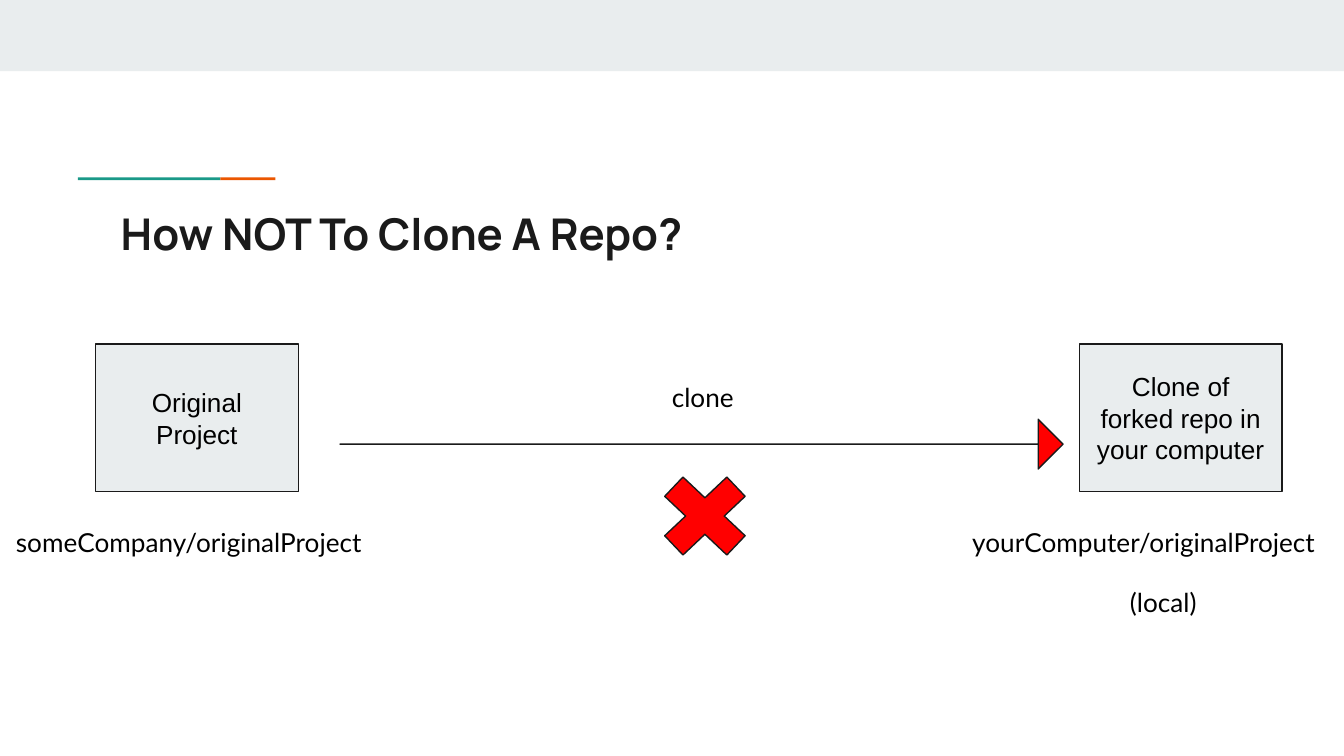
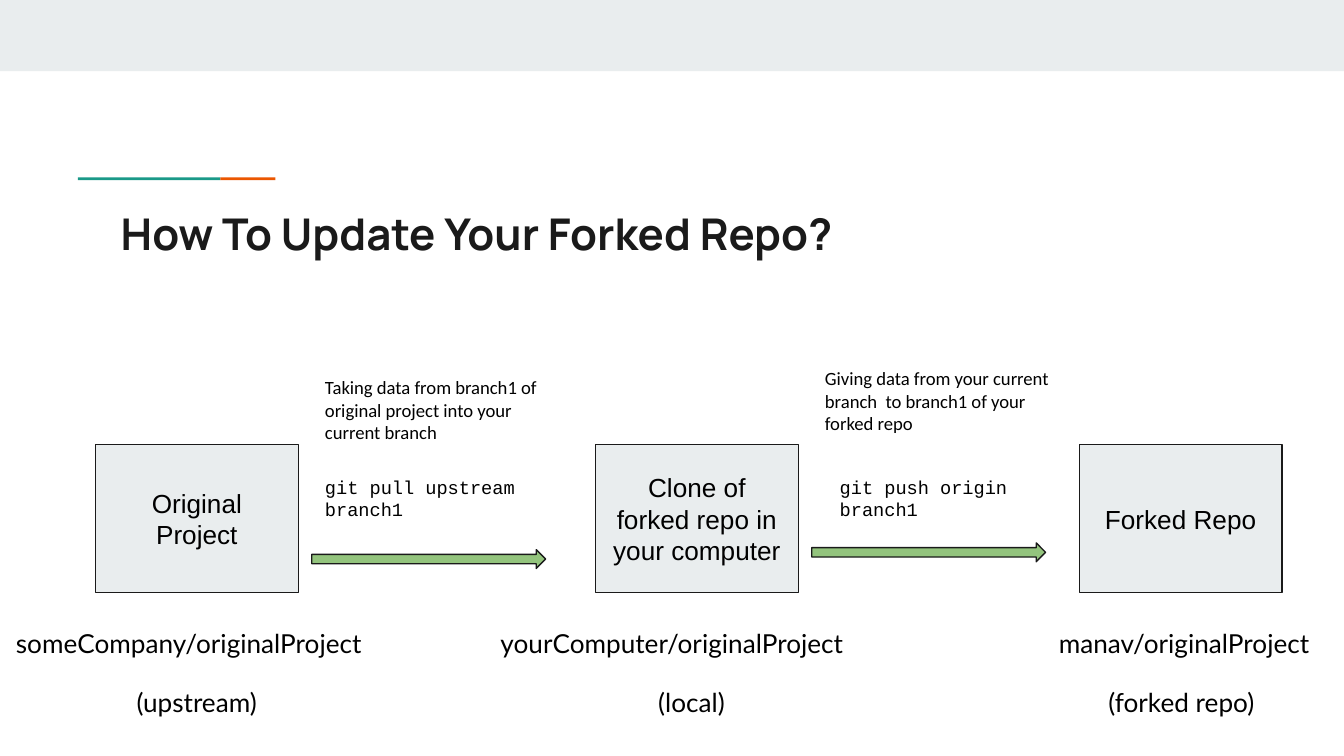
from dataclasses import dataclass

from pptx import Presentation
from pptx.dml.color import RGBColor
from pptx.enum.shapes import MSO_SHAPE
from pptx.enum.text import MSO_ANCHOR, PP_ALIGN
from pptx.util import Inches, Pt

RECT = MSO_SHAPE.RECTANGLE
ARROW = MSO_SHAPE.RIGHT_ARROW
CROSS = MSO_SHAPE.MATH_MULTIPLY
LEFT, CENTER = PP_ALIGN.LEFT, PP_ALIGN.CENTER
TOP, MIDDLE = MSO_ANCHOR.TOP, MSO_ANCHOR.MIDDLE


@dataclass(frozen=True)
class Theme:
    pale: str = "E9EDEE"
    teal: str = "1A9988"
    orange: str = "EB5600"
    ink: str = "1A1A1A"
    black: str = "000000"
    red: str = "FF0000"
    green: str = "93C47D"
    head: str = "Manrope"
    body: str = "Arial"
    label: str = "Lato"
    note: str = "Calibri"
    code: str = "Courier New"
    title: float = 23.4
    text: float = 14
    small: float = 10
    line: float = 0.75


THEME = Theme()
NODE_W, NODE_H = 1.51, 1.1
NAME_GAP, ROLE_GAP = 1.26, 1.7
PAD = 0.1
FIRST, SECOND, THIRD = 0.71, 4.43, 8.03


def write(shape, text, font, size, color=THEME.black, align=LEFT,
          anchor=TOP, bold=False):
    frame = shape.text_frame
    frame.word_wrap = True
    frame.vertical_anchor = anchor
    frame.margin_left = frame.margin_right = Inches(PAD)
    frame.margin_top = frame.margin_bottom = Inches(PAD)
    frame.text = text
    for para in frame.paragraphs:
        para.alignment = align
        for run in para.runs:
            run.font.name = font
            run.font.size = Pt(size)
            run.font.bold = bold
            run.font.color.rgb = RGBColor.from_string(color)


def draw(slide, kind, box, fill, edge=True, adjust=()):
    """Add a flat preset shape, with a thin dark edge if wanted."""
    shape = slide.shapes.add_shape(kind, *map(Inches, box))
    shape.shadow.inherit = False
    shape.fill.solid()
    shape.fill.fore_color.rgb = RGBColor.from_string(fill)
    if edge:
        shape.line.color.rgb = RGBColor.from_string(THEME.ink)
        shape.line.width = Pt(THEME.line)
    else:
        shape.line.fill.background()
    for i, value in enumerate(adjust):
        shape.adjustments[i] = value
    return shape


def add_text(slide, box, text, font, size, **style):
    write(slide.shapes.add_textbox(*map(Inches, box)), text, font, size,
          **style)


def add_node(slide, left, top, text):
    shape = draw(slide, RECT, (left, top, NODE_W, NODE_H), THEME.pale)
    write(shape, text, THEME.body, THEME.text, align=CENTER, anchor=MIDDLE)


def add_label(slide, left, top, width, text, align=LEFT):
    add_text(slide, (left, top, width, 0.44), text, THEME.label, THEME.text,
             align=align)


def add_step(slide, left, top, note, note_top, code, code_left):
    """Add a green arrow with its note and command above."""
    draw(slide, ARROW, (left, top, 1.74, 0.14), THEME.green)
    add_text(slide, (left, note_top, 2, 0.71), note, THEME.note, THEME.small)
    add_text(slide, (code_left, 3.44, 2, 0.54), code, THEME.code, THEME.small)


def add_page(deck, title):
    slide = deck.slides.add_slide(deck.slide_layouts[6])
    draw(slide, RECT, (0, 0, 10, 0.53), THEME.pale, edge=False)
    draw(slide, RECT, (0.58, 1.32, 1.06, 0.02), THEME.teal, edge=False)
    draw(slide, RECT, (1.64, 1.32, 0.41, 0.02), THEME.orange, edge=False)
    add_text(slide, (0.8, 1.44, 8.41, 0.59), title, THEME.head, THEME.title,
             color=THEME.ink, bold=True)
    return slide


def add_source(slide, top):
    add_node(slide, FIRST, top, "Original Project")
    add_label(slide, 0.02, top + NAME_GAP, 3.05,
              "someCompany/originalProject")


def add_local(slide, left, top, name_left, role_left):
    add_node(slide, left, top, "Clone of forked repo in your computer")
    add_label(slide, name_left, top + NAME_GAP, 2.98,
              "yourComputer/originalProject", CENTER)
    add_label(slide, role_left, top + ROLE_GAP, 0.75, "(local)", CENTER)


def clone_page(deck):
    slide = add_page(deck, "How NOT To Clone A Repo?")
    top = 2.56
    add_source(slide, top)
    add_local(slide, THIRD, top, 7.02, 8.28)
    draw(slide, ARROW, (2.53, 3.12, 5.38, 0.37), THEME.red, adjust=(0, 0.5))
    add_label(slide, 4.9, 2.74, 0.68, "clone")
    draw(slide, CROSS, (4.8, 3.42, 0.89, 0.84), THEME.red, adjust=(0.235,))


def update_page(deck):
    slide = add_page(deck, "How To Update Your Forked Repo?")
    top = 3.31
    add_source(slide, top)
    add_label(slide, 0.83, top + ROLE_GAP, 1.27, "(upstream)", CENTER)
    add_local(slide, SECOND, top, 3.51, 4.77)
    add_node(slide, THIRD, top, "Forked Repo")
    add_label(slide, 7.78, top + NAME_GAP, 2.14, "manav/originalProject")
    add_label(slide, 8.12, top + ROLE_GAP, 1.34, "(forked repo)", CENTER)
    add_step(slide, 2.32, 4.09,
             "Taking data from branch1 of original project into your "
             "current branch", 2.7, "git pull upstream branch1", 2.32)
    add_step(slide, 6.04, 4.04,
             "Giving data from your current branch  to branch1 of your "
             "forked repo", 2.63, "git push origin branch1", 6.15)


def main():
    deck = Presentation()
    deck.slide_width = Inches(10)
    deck.slide_height = deck.slide_width * 9 // 16
    clone_page(deck)
    update_page(deck)
    deck.save("out.pptx")


if __name__ == "__main__":
    main()
